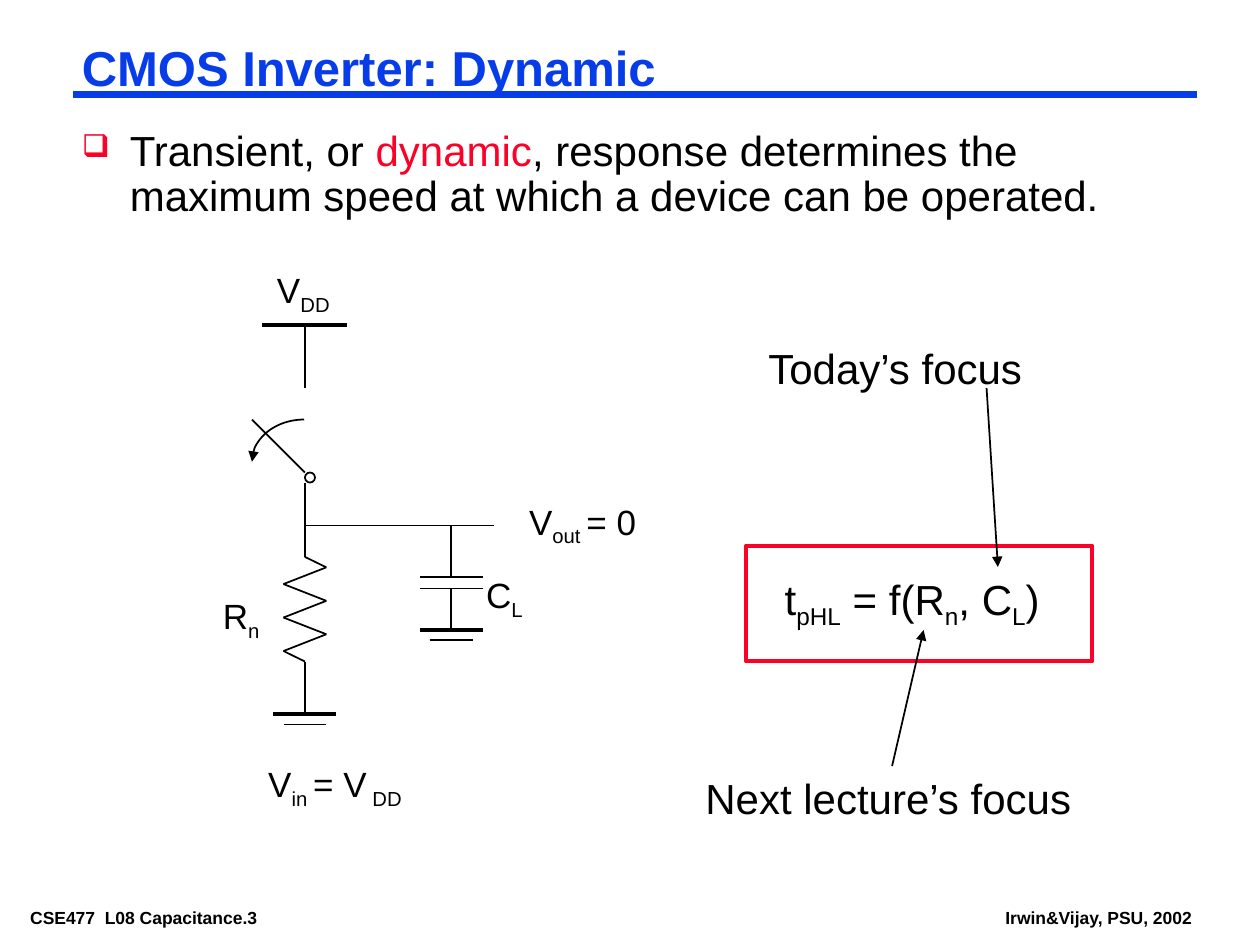
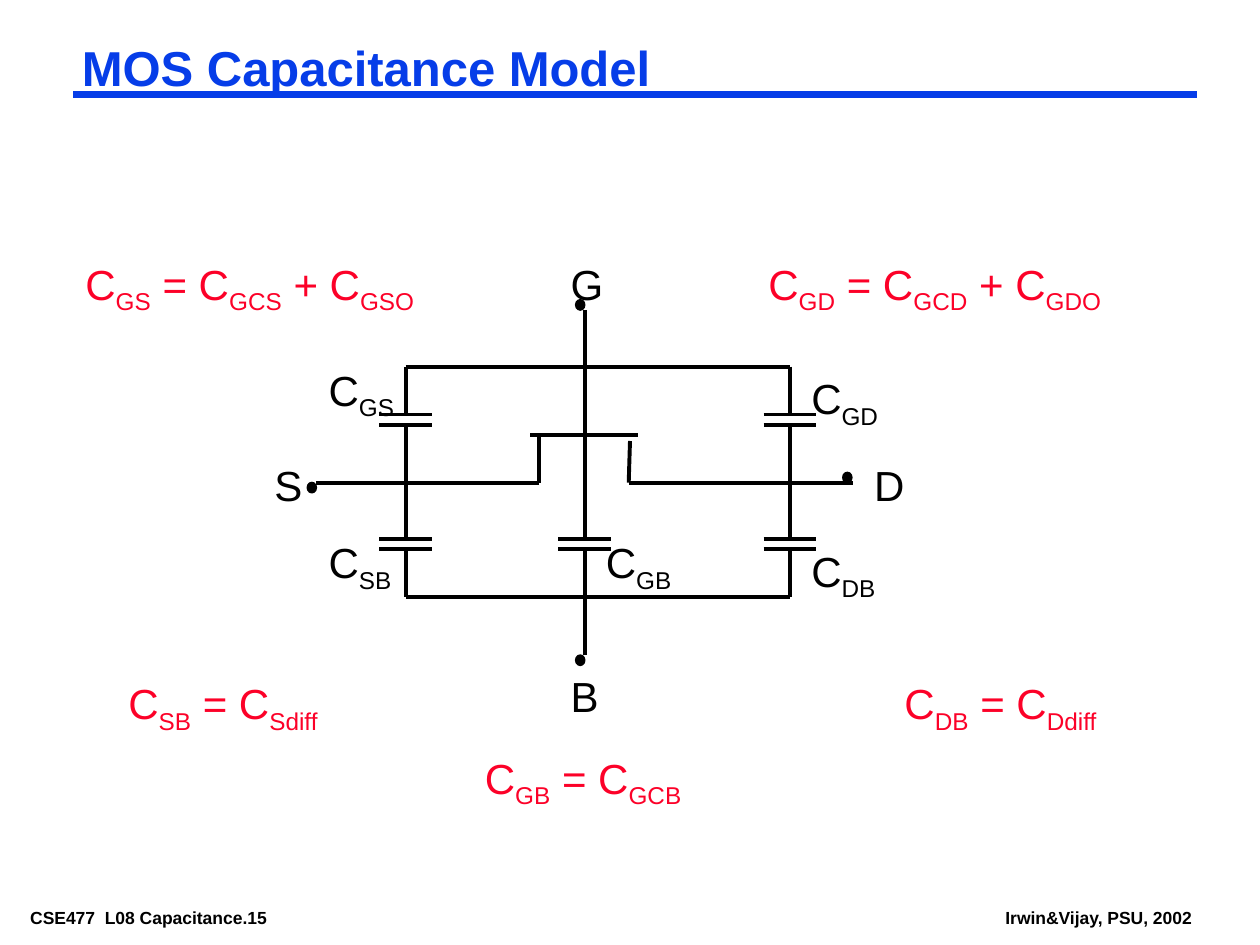
from dataclasses import dataclass
from itertools import pairwise

from lxml import etree
from pptx import Presentation
from pptx.dml import color
from pptx.enum import shapes
from pptx.oxml import ns
from pptx.util import Inches, Pt

FONT = "Arial"
BLUE = "063DE8"
RED = "FC0128"
BLACK = "000000"
THIN = 1
THICK = 2.25
TIGHT = (0.07, 0.03)
LOOSE = (0.1, 0.05)


@dataclass(frozen=True)
class Wire:
    x1: float
    y1: float
    x2: float
    y2: float
    weight: float = THIN
    arrow: bool = False
    colour: str = BLACK


@dataclass(frozen=True)
class Label:
    text: str
    left: float
    top: float
    width: float
    size: float = 24
    colour: str = BLACK


@dataclass(frozen=True)
class Capacitor:
    x: float
    top: float
    plate: float
    bottom: float
    half_width: float = 0.21
    gap: float = 0.08
    weight: float = THICK


def rgb(value: str) -> color.RGBColor:
    return color.RGBColor.from_string(value)


def add_xml(parent, tag: str, **attributes: str) -> None:
    element = etree.SubElement(parent, ns.qn(tag))
    for name, value in attributes.items():
        element.set(name, value)


def add_text(slide, words: str, left: float, top: float, width: float, height: float,
             size: float = 24, colour: str = BLACK, bold: bool = False,
             insets: tuple[float, float] = LOOSE, accent: str | None = None,
             line_spacing: float | None = None):
    """Every second part between tildes is a subscript, or takes the accent colour."""
    box = slide.shapes.add_textbox(Inches(left), Inches(top), Inches(width), Inches(height))
    frame = box.text_frame
    frame.word_wrap = True
    frame.margin_left = frame.margin_right = Inches(insets[0])
    frame.margin_top = frame.margin_bottom = Inches(insets[1])
    paragraph = frame.paragraphs[0]
    if line_spacing:
        paragraph.line_spacing = line_spacing
    for index, part in enumerate(words.split("~")):
        if not part:
            continue
        marked = index % 2 == 1
        run = paragraph.add_run()
        run.text = part
        run.font.name = FONT
        run.font.size = Pt(size)
        run.font.bold = bold
        run.font.color.rgb = rgb(accent if marked and accent else colour)
        if marked and not accent:
            run.font._element.set("baseline", "-25000")
    return paragraph


def add_label(slide, label: Label) -> None:
    add_text(slide, label.text, label.left, label.top, label.width,
             0.56 if label.size == 24 else 0.48, size=label.size, colour=label.colour)


def add_bullet(slide, words: str, top: float) -> None:
    paragraph = add_text(slide, words, 0.58, top, 8.92, 0.78, insets=TIGHT,
                         accent=RED, line_spacing=0.9)
    paragraph.space_before = Pt(19.5)
    properties = paragraph._p.get_or_add_pPr()
    properties.set("marL", str(Inches(0.38)))
    properties.set("indent", str(-Inches(0.38)))
    add_xml(properties, "a:buClr")
    add_xml(properties[-1], "a:srgbClr", val=RED)
    add_xml(properties, "a:buSzPct", val="75000")
    add_xml(properties, "a:buChar", char="❑")


def add_wire(slide, wire: Wire) -> None:
    connector = slide.shapes.add_connector(
        shapes.MSO_CONNECTOR.STRAIGHT, Inches(wire.x1), Inches(wire.y1),
        Inches(wire.x2), Inches(wire.y2))
    connector.line.color.rgb = rgb(wire.colour)
    connector.line.width = Pt(wire.weight)
    if wire.arrow:
        add_xml(connector.line._get_or_add_ln(), "a:tailEnd", type="triangle")
    add_xml(connector._element.spPr, "a:effectLst")


def add_outline(slide, preset: shapes.MSO_SHAPE, left: float, top: float, width: float,
                height: float, colour: str = BLACK, weight: float = THIN,
                fill: str | None = None):
    shape = slide.shapes.add_shape(preset, Inches(left), Inches(top),
                                   Inches(width), Inches(height))
    shape.shadow.inherit = False
    shape.line.color.rgb = rgb(colour)
    shape.line.width = Pt(weight)
    if fill:
        shape.fill.solid()
        shape.fill.fore_color.rgb = rgb(fill)
    else:
        shape.fill.background()
    return shape


def add_capacitor(slide, part: Capacitor) -> None:
    lower = part.plate + part.gap
    left, right = part.x - part.half_width, part.x + part.half_width
    for wire in (
        Wire(part.x, part.top, part.x, part.plate, part.weight),
        Wire(left, part.plate, right, part.plate, part.weight),
        Wire(left, lower, right, lower, part.weight),
        Wire(part.x, lower, part.x, part.bottom, part.weight),
    ):
        add_wire(slide, wire)


def add_ground(slide, x: float, y: float) -> None:
    add_wire(slide, Wire(x - 0.25, y, x + 0.25, y, THICK))
    add_wire(slide, Wire(x - 0.17, y + 0.08, x + 0.17, y + 0.08))


def add_resistor(slide, x: float, top: float, bottom: float) -> None:
    step = (bottom - top) / 10
    turns = [(x + (0.17 if turn % 2 == 0 else -0.17), top + step * (1 + 8 * turn / 5))
             for turn in range(6)]
    for start, end in pairwise([(x, top), *turns, (x, bottom)]):
        add_wire(slide, Wire(*start, *end))


def add_base(presentation, title: str, number: int):
    slide = presentation.slides.add_slide(presentation.slide_layouts[6])
    for words, left, width in ((f"CSE477  L08 Capacitance.{number}", 0.17, 2.53),
                               ("Irwin&Vijay, PSU, 2002", 7.91, 1.7)):
        add_text(slide, words, left, 7.17, width, 0.22, size=10, bold=True, insets=TIGHT)
    add_wire(slide, Wire(0.58, 0.75, 9.5, 0.75, 4.5, colour=BLUE))
    add_text(slide, title, 0.58, 0.33, 8.92, 0.46, size=28, colour=BLUE, bold=True,
             insets=TIGHT, line_spacing=0.87)
    return slide


def build_inverter(presentation) -> None:
    slide = add_base(presentation, "CMOS Inverter: Dynamic", 3)
    add_bullet(slide, "Transient, or ~dynamic~, response determines the maximum speed "
                      "at which a device can be operated.", 1)
    rail, load = 2.42, 3.58
    for wire in (
        Wire(2.08, 2.58, 2.75, 2.58, THICK),
        Wire(rail, 2.58, rail, 3.08),
        Wire(2, 3.33, rail, 3.75),
        Wire(rail, 3.83, rail, 4.42),
        Wire(rail, 5.25, rail, 5.67),
        Wire(rail, 4.17, 3.92, 4.17),
    ):
        add_wire(slide, wire)
    add_outline(slide, shapes.MSO_SHAPE.OVAL, rail, 3.75, 0.08, 0.08)
    swing = add_outline(slide, shapes.MSO_SHAPE.ARC, 2, 3.33, 0.83, 0.67)
    swing.adjustments[0] = 108
    swing.adjustments[1] = 162
    add_xml(swing.line._get_or_add_ln(), "a:headEnd", type="triangle")
    add_resistor(slide, rail, 4.42, 5.25)
    add_capacitor(slide, Capacitor(load, 4.17, 4.58, 5, 0.25, 0.09, THIN))
    add_ground(slide, rail, 5.67)
    add_ground(slide, load, 5)
    add_outline(slide, shapes.MSO_SHAPE.RECTANGLE, 5.92, 4.33, 2.75, 0.92, RED, THICK)
    for label in (
        Label("V~DD~", 2.1, 2.08, 0.7, 20),
        Label("R~n~", 1.67, 4.67, 0.55, 20),
        Label("V~out ~= 0", 4.1, 3.92, 1.15, 20),
        Label("V~in ~= V~ DD~", 2.03, 6, 1.35, 20),
        Label("C~L~", 3.76, 4.5, 0.55, 20),
        Label("t~pHL~ = f(R~n~, C~L~)", 6.13, 4.5, 2.3),
        Label("Today’s focus", 6, 2.67, 2.3),
        Label("Next lecture’s focus", 5.5, 6.08, 3.2),
    ):
        add_label(slide, label)
    add_wire(slide, Wire(7.83, 3.08, 7.92, 4.5, arrow=True))
    add_wire(slide, Wire(7.08, 6.08, 7.33, 5, arrow=True))


def build_capacitance_model(presentation) -> None:
    slide = add_base(presentation, "MOS Capacitance Model", 15)
    source, gate, drain = 3.22, 4.64, 6.27
    top, channel, bottom = 2.91, 3.83, 4.74
    upper_plate, lower_plate = 3.29, 4.28
    for x1, y1, x2, y2 in (
        (source, top, drain, top),
        (source, bottom, drain, bottom),
        (2.51, channel, 4.28, channel),
        (4.28, 3.45, 4.28, channel),
        (4.21, 3.45, 5.06, 3.45),
        (5, 3.5, 4.99, channel),
        (4.99, channel, 6.77, channel),
    ):
        add_wire(slide, Wire(x1, y1, x2, y2, THICK))
    for x in (source, drain):
        add_capacitor(slide, Capacitor(x, top, upper_plate, channel))
        add_capacitor(slide, Capacitor(x, channel, lower_plate, bottom))
    add_capacitor(slide, Capacitor(gate, 2.46, lower_plate, 5.2))
    for left, y in ((4.57, 2.38), (2.44, 3.83), (6.69, 3.75), (4.57, 5.2)):
        add_outline(slide, shapes.MSO_SHAPE.OVAL, left, y, 0.07, 0.08, fill=BLACK)
    for label in (
        Label("C~GS~", 2.51, 2.84, 0.85),
        Label("C~SB~", 2.51, 4.21, 0.85),
        Label("C~DB~", 6.34, 4.28, 0.85),
        Label("C~GD~", 6.34, 2.91, 0.85),
        Label("C~GB~", 4.71, 4.21, 0.85),
        Label("S", 2.08, 3.6, 0.5),
        Label("G", 4.43, 2, 0.5),
        Label("B", 4.43, 5.27, 0.5),
        Label("D", 6.84, 3.6, 0.5),
        Label("C~GS~ = C~GCS~ + C~GSO~", 0.58, 2, 3.67, colour=RED),
        Label("C~GD~ = C~GCD~ + C~GDO~", 6, 2, 3.67, colour=RED),
        Label("C~GB~ = C~GCB~", 3.75, 5.92, 2.08, colour=RED),
        Label("C~SB~ = C~Sdiff~", 0.92, 5.33, 2.08, colour=RED),
        Label("C~DB~ = C~Ddiff~", 7.08, 5.33, 2.08, colour=RED),
    ):
        add_label(slide, label)


def main() -> None:
    presentation = Presentation()
    presentation.slide_width = Inches(10)
    presentation.slide_height = Inches(7.5)
    build_inverter(presentation)
    build_capacitance_model(presentation)
    presentation.save("out.pptx")


if __name__ == "__main__":
    main()
